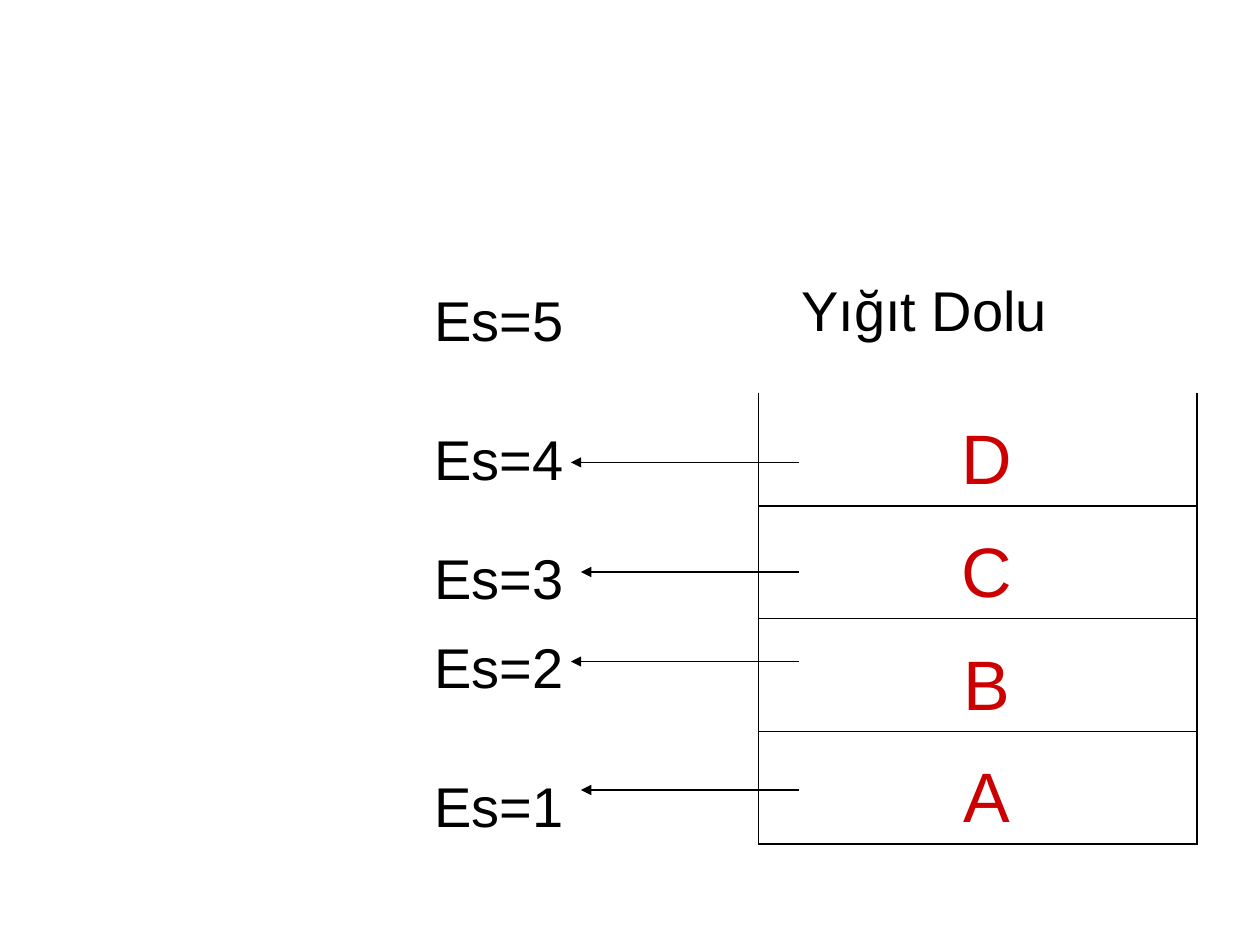
"""Build the slide showing a full stack with its pointer values."""
from dataclasses import dataclass

from lxml import etree
from pptx import Presentation
from pptx import util as u
from pptx.dml.color import RGBColor
from pptx.enum import shapes, text
from pptx.oxml import ns

COLORS = {"ink": "000000", "item": "CC0000"}
FONT = "Arial"
LABEL_LEFT, LABEL_HEIGHT = 3.35, 0.64
ARROW_RIGHT = 6.34
ITEMS = ["D", "C", "B", "A"]


@dataclass(frozen=True)
class Pointer:
    label: str
    top: float
    width: float
    arrow: tuple[float, float] | None = None


POINTERS = [
    Pointer("Es=1", 6.03, 1.42, (4.61, 6.27)),
    Pointer("Es=2", 4.93, 1.49, (4.53, 5.25)),
    Pointer("Es=3", 4.22, 1.42, (4.61, 4.54)),
    Pointer("Es=4", 3.28, 1.26, (4.53, 3.67)),
    Pointer("Es=5", 2.18, 1.34),
]


def style_text(frame, size: int, color: str, align=text.PP_ALIGN.LEFT) -> None:
    paragraph = frame.paragraphs[0]
    paragraph.alignment = align
    font = paragraph.runs[0].font
    font.name, font.size = FONT, u.Pt(size)
    font.color.rgb = RGBColor.from_string(COLORS[color])


def fill_label(label, wording: str) -> None:
    frame = label.text_frame
    frame.text = wording
    frame.word_wrap = True
    frame.auto_size = text.MSO_AUTO_SIZE.NONE
    frame.vertical_anchor = text.MSO_ANCHOR.TOP
    frame.margin_top = u.Inches(0.09)
    style_text(frame, 32, "ink")


def draw_title(slide, wording: str) -> None:
    title = slide.shapes.title
    title.left, title.top = u.Inches(6.26), u.Inches(2.1)
    title.width, title.height = u.Inches(2.21), u.Inches(LABEL_HEIGHT)
    fill_label(title, wording)


def add_border(cell, side: str, visible: bool) -> None:
    properties = cell._tc.get_or_add_tcPr()
    border = etree.SubElement(properties, ns.qn(f"a:ln{side}"), w=str(u.Pt(0.96)))
    if visible:
        fill = etree.SubElement(border, ns.qn("a:solidFill"))
        etree.SubElement(fill, ns.qn("a:srgbClr"), val=COLORS["ink"])
    else:
        etree.SubElement(border, ns.qn("a:noFill"))


def draw_stack(slide, items: list[str]) -> None:
    stack = slide.shapes.add_table(
        len(items), 1, u.Inches(6.02), u.Inches(3.12), u.Inches(3.48), u.Inches(3.58)
    ).table
    stack.first_row = stack.horz_banding = False
    for row, item in enumerate(items):
        cell = stack.cell(row, 0)
        cell.text = item
        cell.vertical_anchor = text.MSO_ANCHOR.BOTTOM
        cell.margin_left = u.Inches(0.25)
        style_text(cell.text_frame, 40, "item", text.PP_ALIGN.CENTER)
        for side in "LRTB":
            add_border(cell, side, visible=side != "T" or row > 0)
        cell.fill.background()


def draw_pointer(slide, pointer: Pointer) -> None:
    label = slide.shapes.add_textbox(
        u.Inches(LABEL_LEFT), u.Inches(pointer.top),
        u.Inches(pointer.width), u.Inches(LABEL_HEIGHT),
    )
    fill_label(label, pointer.label)
    if pointer.arrow:
        draw_arrow(slide, *pointer.arrow)


def draw_arrow(slide, tip: float, level: float) -> None:
    arrow = slide.shapes.add_connector(
        shapes.MSO_CONNECTOR.STRAIGHT,
        u.Inches(tip), u.Inches(level), u.Inches(ARROW_RIGHT), u.Inches(level),
    )
    arrow.line.width = u.Pt(0.75)
    arrow.line.color.rgb = RGBColor.from_string(COLORS["ink"])
    etree.SubElement(arrow.line._get_or_add_ln(), ns.qn("a:headEnd"), type="triangle")
    etree.SubElement(arrow._element.spPr, ns.qn("a:effectLst"))


def main() -> None:
    deck = Presentation()
    deck.slide_width, deck.slide_height = u.Inches(10), u.Inches(7.5)
    slide = deck.slides.add_slide(deck.slide_layouts.get_by_name("Title Only"))
    draw_title(slide, "Yığıt Dolu")
    draw_stack(slide, ITEMS)
    for pointer in POINTERS:
        draw_pointer(slide, pointer)
    deck.save("out.pptx")


if __name__ == "__main__":
    main()
